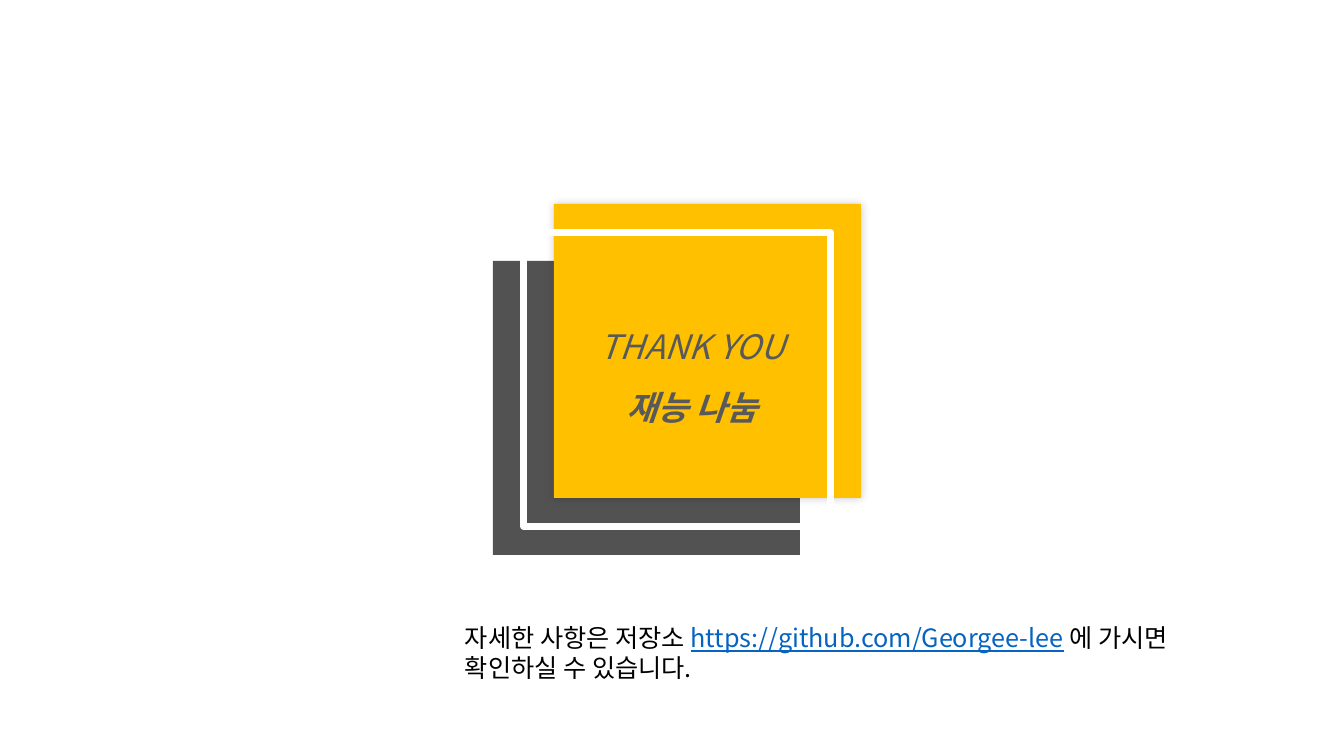
from lxml import etree
from pptx import Presentation
from pptx.dml.color import RGBColor
from pptx.enum.shapes import MSO_SHAPE
from pptx.enum.text import MSO_ANCHOR, MSO_AUTO_SIZE, PP_ALIGN
from pptx.oxml import parse_xml
from pptx.oxml.ns import nsdecls, qn
from pptx.util import Pt

EMU_PER_PX = 914400 / 100.8
FONT = "Noto Sans CJK KR"
SQUARE_SIZE = (307, 294)


def px(length):
    return round(length * EMU_PER_PX)


def color(hex_string):
    return RGBColor.from_string(hex_string)


def place(shape, left, top, width, height):
    shape.left, shape.top = px(left), px(top)
    shape.width, shape.height = px(width), px(height)


def add_run(paragraph, text, size, hex_color, bold=False, italic=False, underline=False):
    run = paragraph.add_run()
    run.text = text
    font = run.font
    font.name, font.size = FONT, Pt(size)
    font.bold, font.italic, font.underline = bold, italic, underline
    font.color.rgb = color(hex_color)
    east_asian = etree.SubElement(run._r.get_or_add_rPr(), qn("a:ea"))
    east_asian.set("typeface", FONT)


def add_square(slide, left, top, fill=None, line=None):
    square = slide.shapes.add_shape(
        MSO_SHAPE.ROUND_2_SAME_RECTANGLE, px(left), px(top), *map(px, SQUARE_SIZE))
    square.adjustments[0] = square.adjustments[1] = 0
    square.shadow.inherit = False
    if fill:
        square.fill.solid()
        square.fill.fore_color.rgb = color(fill)
    else:
        square.fill.background()
    if line:
        square.line.color.rgb = color(line)
        square.line.width = Pt(4.5)
    else:
        square.line.fill.background()
    return square


def set_opacity(shape, percent):
    fill_color = shape._element.spPr.find(qn("a:solidFill"))[0]
    etree.SubElement(fill_color, qn("a:alpha")).set("val", str(percent * 1000))


def add_soft_shadow(shape):
    effects = shape._element.spPr.find(qn("a:effectLst"))
    effects.append(parse_xml(
        f'<a:outerShdw {nsdecls("a")} blurRad="{Pt(6)}" dist="0" dir="18900000">'
        '<a:srgbClr val="000000"><a:alpha val="20000"/></a:srgbClr></a:outerShdw>'))


def add_emblem(slide, left, top, step_x=61, step_y=57):
    """Overlap a grey and a yellow square, with a white frame halfway between them."""
    grey = add_square(slide, left, top + step_y, fill="404040")
    set_opacity(grey, 90)
    yellow = add_square(slide, left + step_x, top, fill="FFC000")
    add_soft_shadow(yellow)
    add_square(slide, left + step_x / 2, top + step_y / 2, line="FFFFFF")


def add_thanks(slide, left, top, width, height):
    title = slide.shapes.title
    place(title, left, top, width, height)
    slide.shapes._spTree.append(title._element)  # bring in front of the emblem
    frame = title.text_frame
    frame.word_wrap = True
    frame.auto_size = MSO_AUTO_SIZE.NONE
    frame.vertical_anchor = MSO_ANCHOR.TOP
    lines = [("THANK YOU", False), ("재능 나눔", True)]
    for index, (text, bold) in enumerate(lines):
        paragraph = frame.add_paragraph() if index else frame.paragraphs[0]
        paragraph.alignment = PP_ALIGN.CENTER
        paragraph.line_spacing = 1.5
        add_run(paragraph, text, 24, "595959", bold=bold, italic=True)


def add_contact(slide, left, top, width, height):
    box = slide.shapes.add_textbox(px(left), px(top), px(width), px(height))
    box.text_frame.word_wrap = True
    paragraph = box.text_frame.paragraphs[0]
    add_run(paragraph, "자세한 사항은 저장소 ", 18, "000000")
    add_run(paragraph, "https://github.com/Georgee-lee", 18, "0563C1", underline=True)
    add_run(paragraph, " 에 가시면 확인하실 수 있습니다.", 18, "000000")


def main():
    presentation = Presentation()
    presentation.slide_width, presentation.slide_height = px(1344), px(756)
    slide = presentation.slides.add_slide(presentation.slide_layouts[5])
    add_emblem(slide, 493, 204)
    add_thanks(slide, 20, 301, 1344, 185)
    add_contact(slide, 455, 617, 812, 72)
    presentation.save("out.pptx")


if __name__ == "__main__":
    main()
